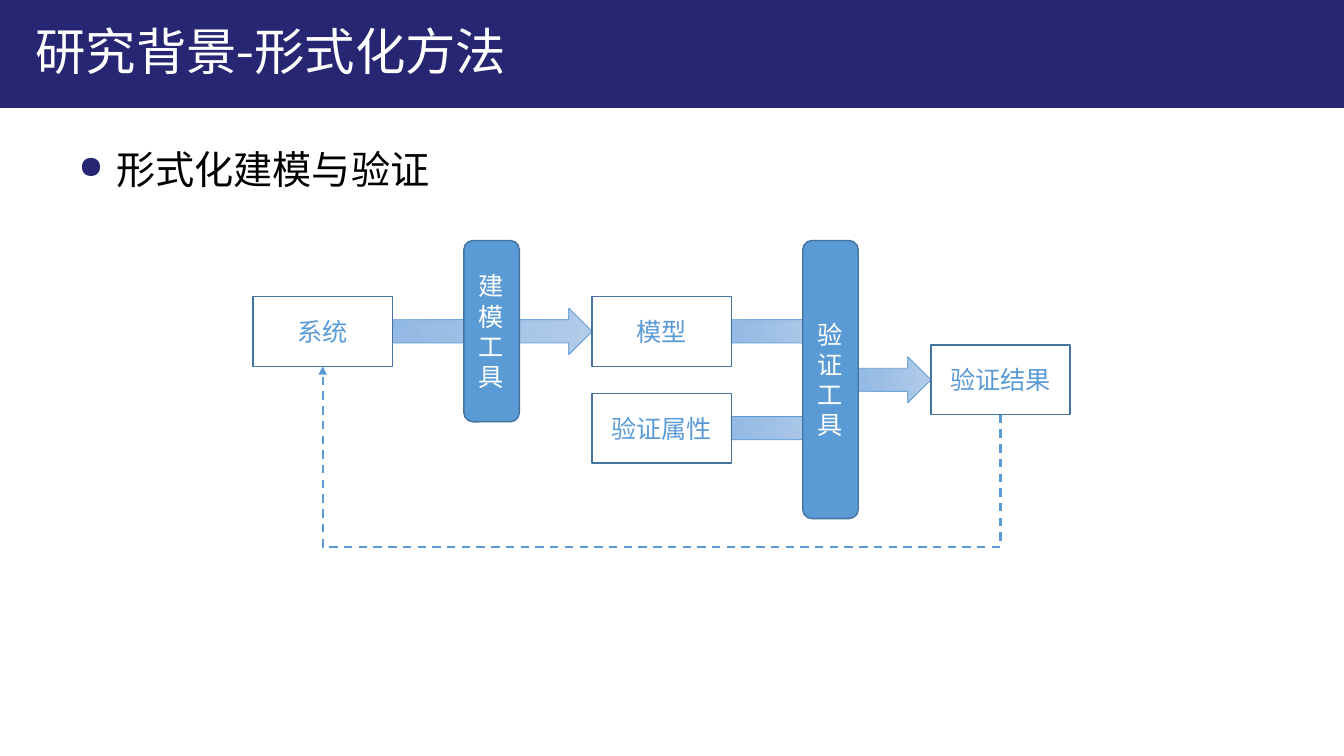
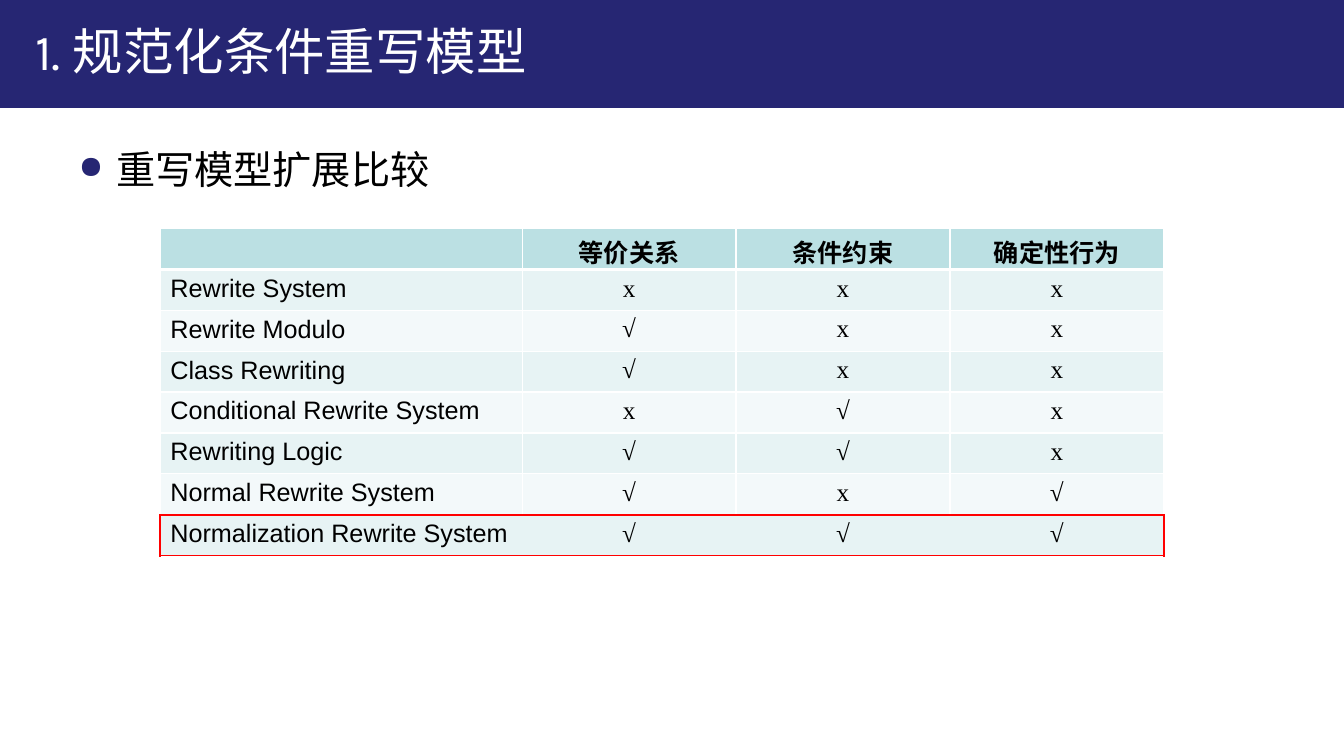
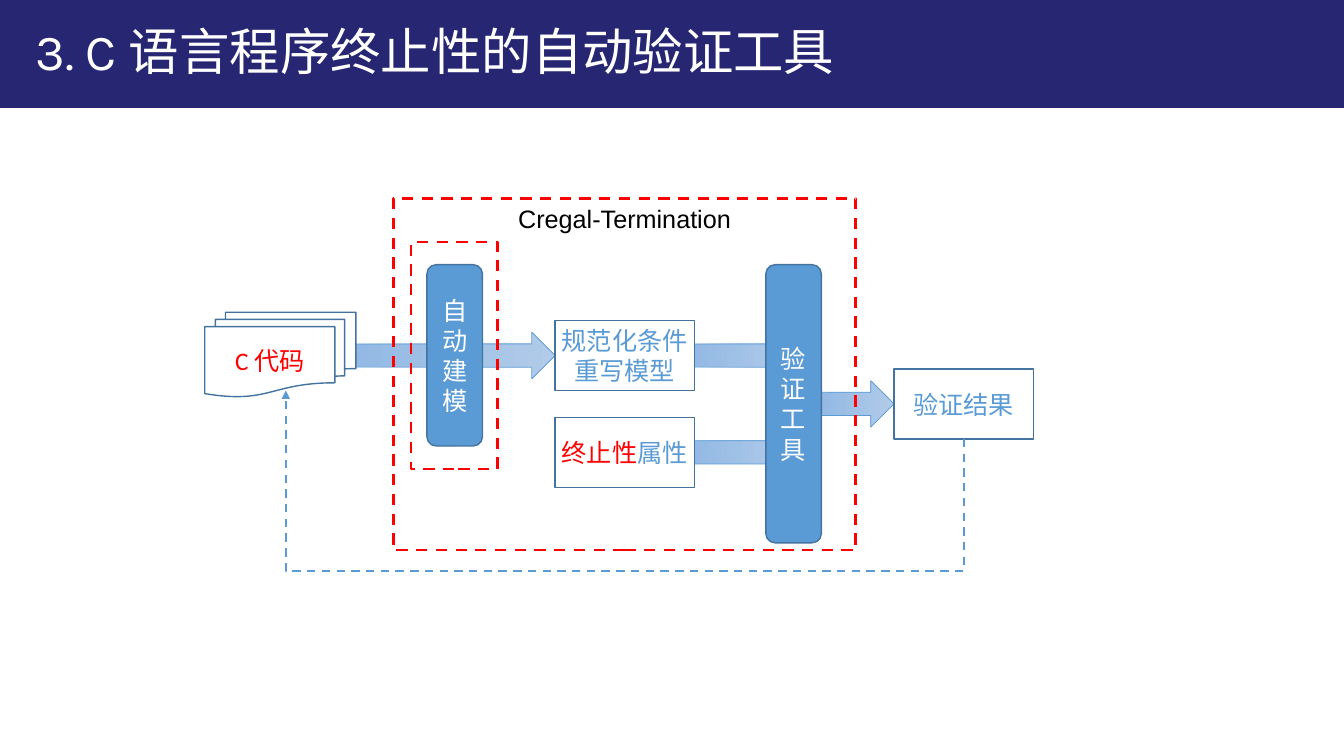
"""Build three slides on formal modelling and verification of rewrite systems."""
from dataclasses import dataclass
from typing import Optional

from lxml.etree import SubElement
from pptx import Presentation
from pptx.dml.color import RGBColor
from pptx.enum.dml import MSO_LINE
from pptx.enum.shapes import MSO_CONNECTOR, MSO_SHAPE
from pptx.enum.text import MSO_ANCHOR, PP_ALIGN
from pptx.oxml.ns import qn
from pptx.presentation import Presentation as Deck
from pptx.shapes.autoshape import Shape
from pptx.slide import Slide
from pptx.table import _Cell
from pptx.text.text import TextFrame
from pptx.util import Cm, Pt

NAVY = RGBColor(0x26, 0x26, 0x73)
WHITE = RGBColor(0xFF, 0xFF, 0xFF)
BLACK = RGBColor(0x00, 0x00, 0x00)
RED = RGBColor(0xFF, 0x00, 0x00)
BLUE = RGBColor(0x5B, 0x9B, 0xD5)
STEEL = RGBColor(0x43, 0x73, 0x9E)
ARROW_START = RGBColor(0x93, 0xB9, 0xE4)
ARROW_END = RGBColor(0xB1, 0xCB, 0xE9)
HEADER_TEAL = RGBColor(0xBB, 0xE0, 0xE3)
ROW_TINTS = (RGBColor(0xE7, 0xF3, 0xF4), RGBColor(0xF3, 0xF9, 0xFA))

SLIDE_WIDTH, SLIDE_HEIGHT = 33.87, 19.05
TITLE_FONT, BODY_FONT, DIAGRAM_FONT, MARK_FONT = "Karla", "Arial", "Calibri", "Times New Roman"

BOX_WIDTH, BOX_HEIGHT = 3.51, 1.76
BOX_PITCH = 8.54
ROW_PITCH = 2.44
BAR_WIDTH = 1.4
BAR_OFFSET = 5.31
BAR_TOP = -1.41
ARROW_HEIGHT = 1.17
FEEDBACK_DROP = 3.33

COLUMN_WIDTHS = (9.12, 5.39, 5.39, 5.39)
ROW_HEIGHT = 1.03
HEADINGS = ("", "等价关系", "条件约束", "确定性行为")
COMPARISON = (
    ("Rewrite System", "x", "x", "x"),
    ("Rewrite Modulo", "√", "x", "x"),
    ("Class Rewriting", "√", "x", "x"),
    ("Conditional Rewrite System", "x", "√", "x"),
    ("Rewriting Logic", "√", "√", "x"),
    ("Normal Rewrite System", "√", "x", "√"),
    ("Normalization Rewrite System", "√", "√", "√"),
)


@dataclass(frozen=True)
class Area:
    """A rectangle in centimetres."""

    left: float
    top: float
    width: float
    height: float

    def lengths(self) -> tuple[Cm, Cm, Cm, Cm]:
        """Return left, top, width and height as lengths."""
        return Cm(self.left), Cm(self.top), Cm(self.width), Cm(self.height)


@dataclass(frozen=True)
class Span:
    """A piece of text in one colour."""

    text: str
    color: RGBColor = BLUE


@dataclass(frozen=True)
class Workflow:
    """The wording and place of one verification workflow."""

    left: float
    top: float
    modelling: str
    model: str
    attribute: tuple[Span, ...]
    source: Optional[str] = None


@dataclass(frozen=True)
class Border:
    """One cell border; no colour means no line."""

    color: Optional[RGBColor] = WHITE
    width: float = 1


def write(frame: TextFrame, spans: tuple[Span, ...], font: str, size: int,
          align: PP_ALIGN = PP_ALIGN.LEFT, bold: bool = False) -> None:
    """Fill a text frame with one paragraph of coloured spans."""
    paragraph = frame.paragraphs[0]
    paragraph.text = spans[0].text
    for span in spans[1:]:
        paragraph.add_run().text = span.text
    paragraph.alignment = align
    for run, span in zip(paragraph.runs, spans):
        run.font.name = font
        run.font.size = Pt(size)
        run.font.bold = bold
        run.font.color.rgb = span.color


def add_figure(slide: Slide, kind: MSO_SHAPE, area: Area, fill: Optional[RGBColor] = None,
               line: Optional[RGBColor] = STEEL, line_width: float = 1) -> Shape:
    """Add a shadowless preset shape."""
    figure = slide.shapes.add_shape(kind, *area.lengths())
    figure.shadow.inherit = False
    if fill is None:
        figure.fill.background()
    else:
        figure.fill.solid()
        figure.fill.fore_color.rgb = fill
    if line is None:
        figure.line.fill.background()
    else:
        figure.line.color.rgb = line
        figure.line.width = Pt(line_width)
    return figure


def add_labelled(slide: Slide, kind: MSO_SHAPE, area: Area, spans: tuple[Span, ...],
                 fill: Optional[RGBColor] = None) -> None:
    """Add a workflow step with a centred label."""
    step = add_figure(slide, kind, area, fill)
    frame = step.text_frame
    frame.word_wrap = True
    frame.vertical_anchor = MSO_ANCHOR.MIDDLE
    frame.margin_left = frame.margin_right = Cm(0.1)
    write(frame, spans, DIAGRAM_FONT, 18, PP_ALIGN.CENTER)


def add_flow_arrow(slide: Slide, left: float, middle: float, width: float) -> None:
    """Add a gradient arrow pointing right, centred on a height."""
    area = Area(left, middle - ARROW_HEIGHT / 2, width, ARROW_HEIGHT)
    arrow = add_figure(slide, MSO_SHAPE.RIGHT_ARROW, area, line=BLUE, line_width=0.5)
    arrow.fill.gradient()
    arrow.fill.gradient_angle = 0
    for stop, color in zip(arrow.fill.gradient_stops, (ARROW_START, ARROW_END)):
        stop.color.rgb = color


def add_feedback(slide: Slide, start: tuple[float, float], end: tuple[float, float]) -> None:
    """Add the dashed elbow that leads from the result back to the source."""
    center_x, center_y = (start[0] + end[0]) / 2, (start[1] + end[1]) / 2
    span, rise = start[0] - end[0], start[1] - end[1]
    feedback = slide.shapes.add_connector(
        MSO_CONNECTOR.ELBOW,
        Cm(center_x + rise / 2), Cm(center_y - span / 2),
        Cm(center_x - rise / 2), Cm(center_y + span / 2))
    feedback.line.color.rgb = BLUE
    feedback.line.width = Pt(1.5)
    feedback.line.dash_style = MSO_LINE.DASH
    properties = feedback._element.spPr
    properties.find(qn("a:xfrm")).set("rot", "5400000")
    adjustments = properties.find(qn("a:prstGeom")).find(qn("a:avLst"))
    bend = -round(FEEDBACK_DROP / rise * 100000)
    SubElement(adjustments, qn("a:gd"), name="adj1", fmla=f"val {bend}")
    SubElement(properties.find(qn("a:ln")), qn("a:tailEnd"), type="triangle")
    SubElement(properties, qn("a:effectLst"))


def add_workflow(slide: Slide, flow: Workflow) -> None:
    """Draw source, modelling, model, verification, result and feedback."""
    model_left = flow.left + BOX_PITCH
    result_left = flow.left + 2 * BOX_PITCH
    result_top = flow.top + ROW_PITCH / 2
    attribute_top = flow.top + ROW_PITCH
    modelling_left = flow.left + BAR_OFFSET
    verifier_left = model_left + BAR_OFFSET
    verifier_right = verifier_left + BAR_WIDTH
    half = BOX_HEIGHT / 2

    add_flow_arrow(slide, verifier_right, result_top + half, result_left - verifier_right)
    for top in (attribute_top, flow.top):
        add_flow_arrow(slide, model_left + BOX_WIDTH, top + half, 2.5)
    add_flow_arrow(slide, flow.left + BOX_WIDTH, flow.top + half, BOX_PITCH - BOX_WIDTH)

    boxes = [
        (model_left, flow.top, (Span(flow.model),)),
        (result_left, result_top, (Span("验证结果"),)),
        (model_left, attribute_top, flow.attribute),
    ]
    if flow.source:
        boxes.append((flow.left, flow.top, (Span(flow.source),)))
    for left, top, spans in boxes:
        add_labelled(slide, MSO_SHAPE.RECTANGLE, Area(left, top, BOX_WIDTH, BOX_HEIGHT), spans)

    for left, height, tool in ((modelling_left, 4.57, flow.modelling),
                               (verifier_left, 7.01, "验证工具")):
        area = Area(left, flow.top + BAR_TOP, BAR_WIDTH, height)
        add_labelled(slide, MSO_SHAPE.ROUNDED_RECTANGLE, area, (Span(tool, WHITE),), BLUE)

    add_feedback(slide,
                 (result_left + BOX_WIDTH / 2, result_top + BOX_HEIGHT),
                 (flow.left + BOX_WIDTH / 2, flow.top + BOX_HEIGHT))


def add_titled_slide(deck: Deck, title: str) -> Slide:
    """Add a blank slide with the navy band and its title."""
    slide = deck.slides.add_slide(deck.slide_layouts[6])
    add_figure(slide, MSO_SHAPE.RECTANGLE, Area(0, -0.02, SLIDE_WIDTH, 2.74), NAVY, None)
    heading = slide.shapes.add_textbox(*Area(0.64, 0.33, 21.59, 1.9).lengths()).text_frame
    heading.word_wrap = True
    heading.vertical_anchor = MSO_ANCHOR.MIDDLE
    write(heading, (Span(title, WHITE),), TITLE_FONT, 36)
    return slide


def add_topic(slide: Slide, topic: str) -> None:
    """Add the bulleted topic line under the band."""
    frame = slide.shapes.add_textbox(*Area(1.73, 3.53, 29.87, 1.6).lengths()).text_frame
    frame.word_wrap = True
    write(frame, (Span(topic, BLACK),), BODY_FONT, 28)
    paragraph = frame.paragraphs[0]
    paragraph.space_before = Pt(5.6)
    properties = paragraph._p.get_or_add_pPr()
    properties.set("marL", str(Cm(0.95)))
    properties.set("indent", str(-Cm(0.95)))
    SubElement(SubElement(properties, qn("a:buClr")), qn("a:srgbClr"), val=str(NAVY))
    SubElement(properties, qn("a:buSzPct"), val="80000")
    SubElement(properties, qn("a:buChar"), char="●")


def set_borders(cell: _Cell, borders: dict[str, Border]) -> None:
    """Draw the left, right, top and bottom borders of a cell."""
    properties = cell._tc.get_or_add_tcPr()
    for position, side in enumerate("LRTB"):
        border = borders[side]
        edge = SubElement(properties, qn(f"a:ln{side}"), w=str(Pt(border.width)))
        if border.color is None:
            SubElement(edge, qn("a:noFill"))
        else:
            SubElement(SubElement(edge, qn("a:solidFill")), qn("a:srgbClr"),
                       val=str(border.color))
        properties.insert(position, edge)


def borders_at(row: int, column: int) -> dict[str, Border]:
    """Return the borders of a cell: white grid, red frame on the last row."""
    borders = dict.fromkeys("LRTB", Border())
    highlight = Border(RED, 1.5)
    last_row, last_column = len(COMPARISON), len(HEADINGS) - 1
    if row == 0:
        borders["B"] = Border(WHITE, 3)
    elif row == 1:
        borders["T"] = Border(WHITE, 3)
    elif row == last_row - 1:
        borders["B"] = highlight
    elif row == last_row:
        borders = dict.fromkeys("TB", highlight)
        borders["L"] = highlight if column == 0 else Border(None)
        borders["R"] = highlight if column == last_column else Border(None)
    return borders


def add_comparison(slide: Slide) -> None:
    """Add the table that compares the rewrite models."""
    rows = (HEADINGS, *COMPARISON)
    area = Area(4.04, 5.76, sum(COLUMN_WIDTHS), ROW_HEIGHT * len(rows))
    table = slide.shapes.add_table(len(rows), len(HEADINGS), *area.lengths()).table
    table.first_row = table.horz_banding = False
    for column, width in zip(table.columns, COLUMN_WIDTHS):
        column.width = Cm(width)
    for row, entries in enumerate(rows):
        table.rows[row].height = Cm(ROW_HEIGHT)
        for column, entry in enumerate(entries):
            cell = table.cell(row, column)
            cell.fill.solid()
            cell.fill.fore_color.rgb = ROW_TINTS[(row - 1) % 2] if row else HEADER_TEAL
            set_borders(cell, borders_at(row, column))
            write(cell.text_frame, (Span(entry, BLACK),),
                  MARK_FONT if row and column else BODY_FONT, 18,
                  PP_ALIGN.CENTER if column else PP_ALIGN.LEFT, bold=row == 0)


def add_tool_scope(slide: Slide) -> None:
    """Frame the automated part of the workflow in dashed red."""
    scope, modelling_scope = (
        add_figure(slide, MSO_SHAPE.RECTANGLE, area, line=RED, line_width=2)
        for area in (Area(9.91, 5, 11.66, 8.86), Area(10.36, 6.1, 2.18, 5.72)))
    for outline in (scope, modelling_scope):
        outline.line.dash_style = MSO_LINE.DASH
    scope.text_frame.word_wrap = False
    scope.text_frame.vertical_anchor = MSO_ANCHOR.TOP
    write(scope.text_frame, (Span("Cregal-Termination", BLACK),), BODY_FONT, 18,
          PP_ALIGN.CENTER)


def main() -> None:
    """Build and save the presentation."""
    deck = Presentation()
    deck.slide_width, deck.slide_height = Cm(SLIDE_WIDTH), Cm(SLIDE_HEIGHT)

    background = add_titled_slide(deck, "研究背景-形式化方法")
    add_topic(background, "形式化建模与验证")
    add_workflow(background, Workflow(6.38, 7.47, "建模工具", "模型",
                                      (Span("验证属性"),), "系统"))

    models = add_titled_slide(deck, "1. 规范化条件重写模型")
    add_topic(models, "重写模型扩展比较")
    add_comparison(models)

    termination = add_titled_slide(deck, "3. C 语言程序终止性的自动验证工具")
    add_workflow(termination, Workflow(5.45, 8.08, "自动建模", "规范化条件重写模型",
                                       (Span("终止性", RED), Span("属性"))))
    add_labelled(termination, MSO_SHAPE.FLOWCHART_MULTIDOCUMENT,
                 Area(5.16, 7.87, 3.81, 2.13), (Span("C 代码", RED),))
    add_tool_scope(termination)

    deck.save("out.pptx")


if __name__ == "__main__":
    main()
